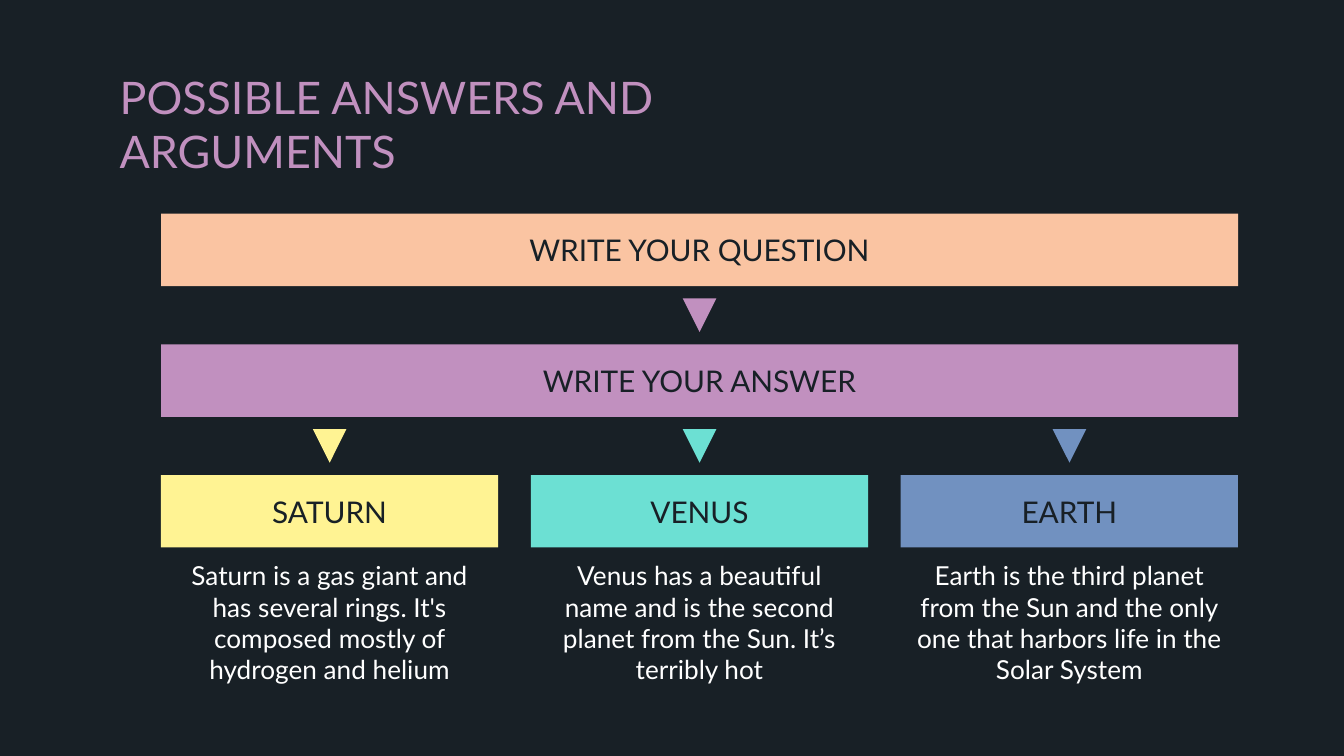
from pptx import Presentation
from pptx.dml.color import RGBColor
from pptx.enum.shapes import MSO_SHAPE
from pptx.enum.text import MSO_ANCHOR, MSO_AUTO_SIZE, PP_ALIGN
from pptx.util import Pt

RECTANGLE = MSO_SHAPE.RECTANGLE
TRIANGLE = MSO_SHAPE.ISOSCELES_TRIANGLE
TOP, MIDDLE = MSO_ANCHOR.TOP, MSO_ANCHOR.MIDDLE
LEFT, CENTER = PP_ALIGN.LEFT, PP_ALIGN.CENTER
NO_AUTOFIT = MSO_AUTO_SIZE.NONE

DARK = RGBColor(0x18, 0x20, 0x26)
WHITE = RGBColor(0xFF, 0xFF, 0xFF)
PEACH = RGBColor(0xFA, 0xC4, 0xA2)
MAUVE = RGBColor(0xC1, 0x90, 0xBF)
YELLOW = RGBColor(0xFF, 0xF3, 0x93)
TURQUOISE = RGBColor(0x6C, 0xE0, 0xD3)
BLUE = RGBColor(0x71, 0x91, 0xC0)

FONT = "Lato"
INSET = 7.2

# Diagram grid, in points
DIAGRAM_LEFT, DIAGRAM_WIDTH = 86.25, 577
FIRST_ROW, ROW_PITCH = 114.5, 70
BAR_HEIGHT = 38.8
COLUMN_GAP = 17.5
COLUMN_WIDTH = (DIAGRAM_WIDTH - 2 * COLUMN_GAP) / 3
ARROW_SIZE = 18
ARGUMENT_TOP, ARGUMENT_HEIGHT = 301.7, 63.4

PLANETS = [
    ("SATURN", YELLOW, "Saturn is a gas giant and has several rings. It's "
     "composed mostly of hydrogen and helium"),
    ("VENUS", TURQUOISE, "Venus has a beautiful name and is the second "
     "planet from the Sun. It’s terribly hot"),
    ("EARTH", BLUE, "Earth is the third planet from the Sun and the only "
     "one that harbors life in the Solar System"),
]


def write(shape, text, size, color, align=CENTER, anchor=MIDDLE):
    frame = shape.text_frame
    frame.text = text
    frame.word_wrap = True
    frame.auto_size = NO_AUTOFIT
    frame.vertical_anchor = anchor
    frame.margin_left = frame.margin_right = Pt(INSET)
    frame.margin_top = frame.margin_bottom = Pt(INSET)
    paragraph = frame.paragraphs[0]
    paragraph.alignment = align
    paragraph.font.name = FONT
    paragraph.font.size = Pt(size)
    paragraph.font.color.rgb = color


def add_title(slide, text):
    title = slide.shapes.title
    title.left, title.top = Pt(56.9), Pt(30.2)
    title.width, title.height = Pt(304), Pt(67)
    write(title, text, 24, MAUVE, LEFT, TOP)


def add_filled(slide, preset, left, top, width, height, color):
    shape = slide.shapes.add_shape(preset, Pt(left), Pt(top), Pt(width), Pt(height))
    shape.shadow.inherit = False
    shape.fill.solid()
    shape.fill.fore_color.rgb = color
    shape.line.fill.background()
    return shape


def row_top(row):
    return FIRST_ROW + row * ROW_PITCH


def add_bar(slide, row, left, width, color, label):
    bar = add_filled(slide, RECTANGLE, left, row_top(row), width, BAR_HEIGHT, color)
    write(bar, label, 16, DARK)


def add_arrow(slide, row, center, color):
    """Add a downward triangle midway between the row and the next one."""
    middle = (row_top(row) + BAR_HEIGHT + row_top(row + 1)) / 2
    arrow = add_filled(slide, TRIANGLE, center - ARROW_SIZE / 2,
                       middle - ARROW_SIZE / 2, ARROW_SIZE, ARROW_SIZE, color)
    arrow.rotation = 180


def add_argument(slide, left, text):
    argument = slide.shapes.add_textbox(Pt(left), Pt(ARGUMENT_TOP),
                                        Pt(COLUMN_WIDTH), Pt(ARGUMENT_HEIGHT))
    write(argument, text, 14, WHITE)


def main():
    presentation = Presentation()
    presentation.slide_width, presentation.slide_height = Pt(720), Pt(405)
    slide = presentation.slides.add_slide(presentation.slide_layouts[5])
    slide.background.fill.solid()
    slide.background.fill.fore_color.rgb = DARK

    add_title(slide, "POSSIBLE ANSWERS AND ARGUMENTS")
    add_bar(slide, 0, DIAGRAM_LEFT, DIAGRAM_WIDTH, PEACH, "WRITE YOUR QUESTION")
    add_arrow(slide, 0, DIAGRAM_LEFT + DIAGRAM_WIDTH / 2, MAUVE)
    add_bar(slide, 1, DIAGRAM_LEFT, DIAGRAM_WIDTH, MAUVE, "WRITE YOUR ANSWER")
    for column, (planet, color, argument) in enumerate(PLANETS):
        left = DIAGRAM_LEFT + column * (COLUMN_WIDTH + COLUMN_GAP)
        add_arrow(slide, 1, left + COLUMN_WIDTH / 2, color)
        add_bar(slide, 2, left, COLUMN_WIDTH, color, planet)
        add_argument(slide, left, argument)

    presentation.save("out.pptx")


if __name__ == "__main__":
    main()
